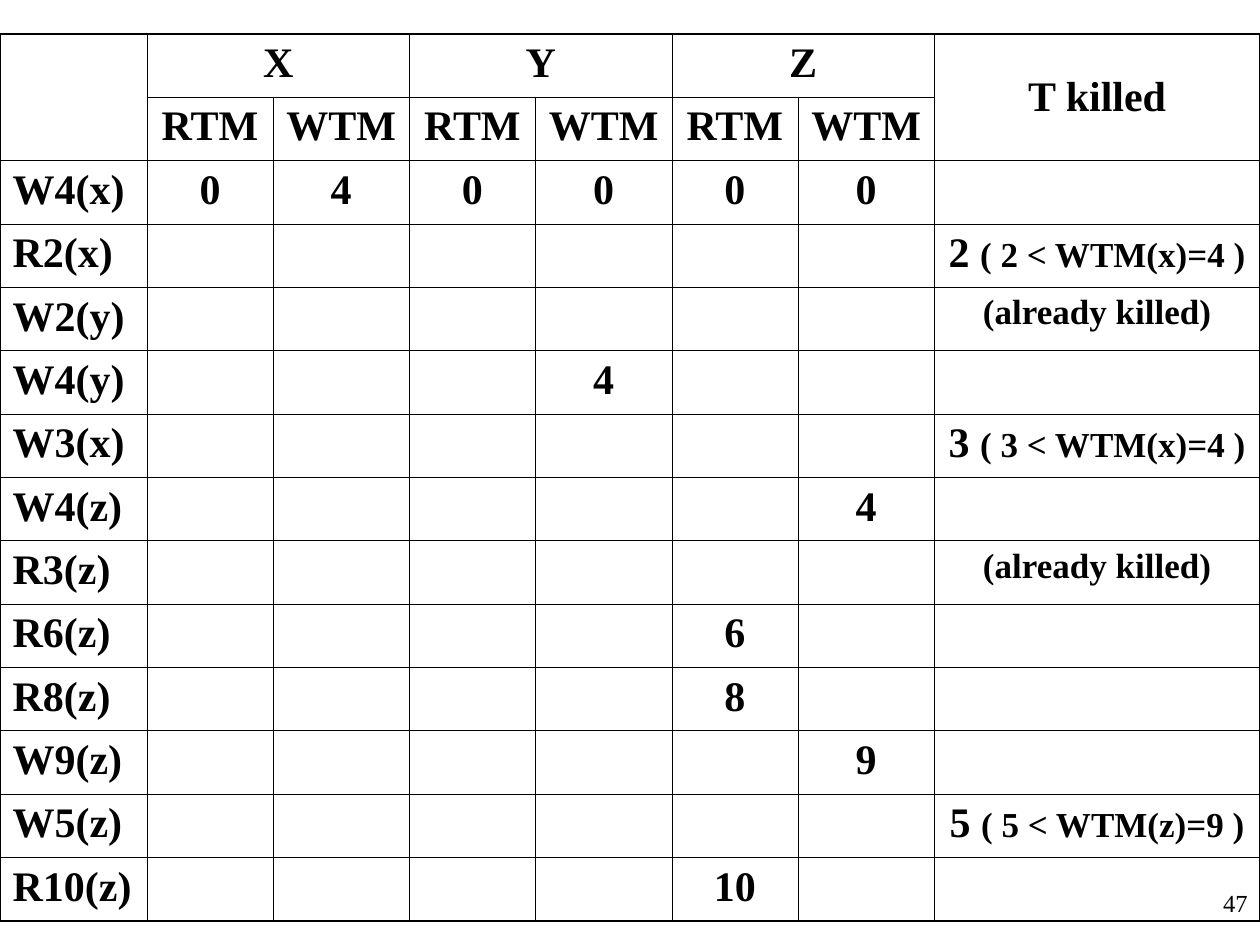
from lxml import etree
from pptx import Presentation
from pptx import util as u
from pptx.dml.color import RGBColor
from pptx.enum import text
from pptx.oxml import ns

BLACK = RGBColor(0, 0, 0)
FONT = "Times New Roman"
BLANK_LAYOUT = 6

COLUMN_WIDTHS = [84] + [72, 78] * 3 + [186]
ROW_HEIGHT = 36.2
ITEMS = ["X", "Y", "Z"]
LAST_COLUMN = len(COLUMN_WIDTHS) - 1
ALREADY_KILLED = ["", "(already killed)"]

# Operation, {column: new timestamp}, [killed transaction, reason]
OPERATIONS = [
    ("W4(x)", {1: "0", 2: "4", 3: "0", 4: "0", 5: "0", 6: "0"}, None),
    ("R2(x)", {}, ["2 ", "( 2 < WTM(x)=4 )"]),
    ("W2(y)", {}, ALREADY_KILLED),
    ("W4(y)", {4: "4"}, None),
    ("W3(x)", {}, ["3 ", "( 3 < WTM(x)=4 )"]),
    ("W4(z)", {6: "4"}, None),
    ("R3(z)", {}, ALREADY_KILLED),
    ("R6(z)", {5: "6"}, None),
    ("R8(z)", {5: "8"}, None),
    ("W9(z)", {6: "9"}, None),
    ("W5(z)", {}, ["5 ", "( 5 < WTM(z)=9 )"]),
    ("R10(z)", {5: "10"}, None),
]


def add_text(paragraph, words, size=24, bold=True, align=text.PP_ALIGN.CENTER):
    paragraph.alignment = align
    run = paragraph.add_run()
    run.text = words
    run.font.name = FONT
    run.font.size = u.Pt(size)
    run.font.bold = bold
    run.font.color.rgb = BLACK


class SlideBuilder:
    """Holds the line style and the current slide."""

    outer_line = 1.08
    inner_line = 0.45

    def __init__(self, slide):
        self.slide = slide

    def page_number(self, number, left, top, width, height):
        box = self.slide.shapes.add_textbox(*map(u.Pt, (left, top, width, height)))
        box.text_frame.word_wrap = True
        add_text(box.text_frame.paragraphs[0], number, size=14, bold=False,
                 align=text.PP_ALIGN.RIGHT)

    def grid(self, left, top, widths, row_count, row_height):
        frame = self.slide.shapes.add_table(
            row_count, len(widths), u.Pt(left), u.Pt(top),
            u.Pt(sum(widths)), u.Pt(row_count * row_height))
        table = frame.table
        table.first_row = table.horz_banding = False
        for column, width in zip(table.columns, widths):
            column.width = u.Pt(width)
        for r, row in enumerate(table.rows):
            row.height = u.Pt(row_height)
            for c, cell in enumerate(row.cells):
                self.borders(cell, {"L": c == 0, "R": c == len(widths) - 1,
                                    "T": r == 0, "B": r == row_count - 1})
                cell.fill.background()
        return table

    def borders(self, cell, outer_sides):
        properties = cell._tc.get_or_add_tcPr()
        for side, is_outer in outer_sides.items():
            width = u.Pt(self.outer_line if is_outer else self.inner_line)
            line = etree.SubElement(properties, ns.qn(f"a:ln{side}"), w=str(width))
            fill = etree.SubElement(line, ns.qn("a:solidFill"))
            etree.SubElement(fill, ns.qn("a:srgbClr"), val=str(BLACK))

    def cell_text(self, cell, words, **style):
        add_text(cell.text_frame.paragraphs[0], words, **style)


def main():
    deck = Presentation()
    deck.slide_width, deck.slide_height = u.Pt(720), u.Pt(540)
    builder = SlideBuilder(deck.slides.add_slide(deck.slide_layouts[BLANK_LAYOUT]))

    builder.page_number("47", 570, 504, 150, 36)
    schedule = builder.grid(0, 19.4, COLUMN_WIDTHS, len(OPERATIONS) + 2, ROW_HEIGHT)

    # Two-level header
    for column in (0, LAST_COLUMN):
        schedule.cell(0, column).merge(schedule.cell(1, column))
    for index, item in enumerate(ITEMS):
        read_column = 1 + 2 * index
        item_cell = schedule.cell(0, read_column)
        item_cell.merge(schedule.cell(0, read_column + 1))
        builder.cell_text(item_cell, item)
        for offset, timestamp in enumerate(("RTM", "WTM")):
            builder.cell_text(schedule.cell(1, read_column + offset), timestamp)
    killed_header = schedule.cell(0, LAST_COLUMN)
    killed_header.vertical_anchor = text.MSO_ANCHOR.MIDDLE
    builder.cell_text(killed_header, "T killed")

    # One row for each operation
    for row, (operation, timestamps, killed) in enumerate(OPERATIONS, start=2):
        builder.cell_text(schedule.cell(row, 0), operation, align=text.PP_ALIGN.LEFT)
        for column, value in timestamps.items():
            builder.cell_text(schedule.cell(row, column), value)
        if killed:
            transaction, reason = killed
            outcome = schedule.cell(row, LAST_COLUMN)
            if transaction:
                builder.cell_text(outcome, transaction)
            builder.cell_text(outcome, reason, size=20)

    deck.save("out.pptx")


if __name__ == "__main__":
    main()
